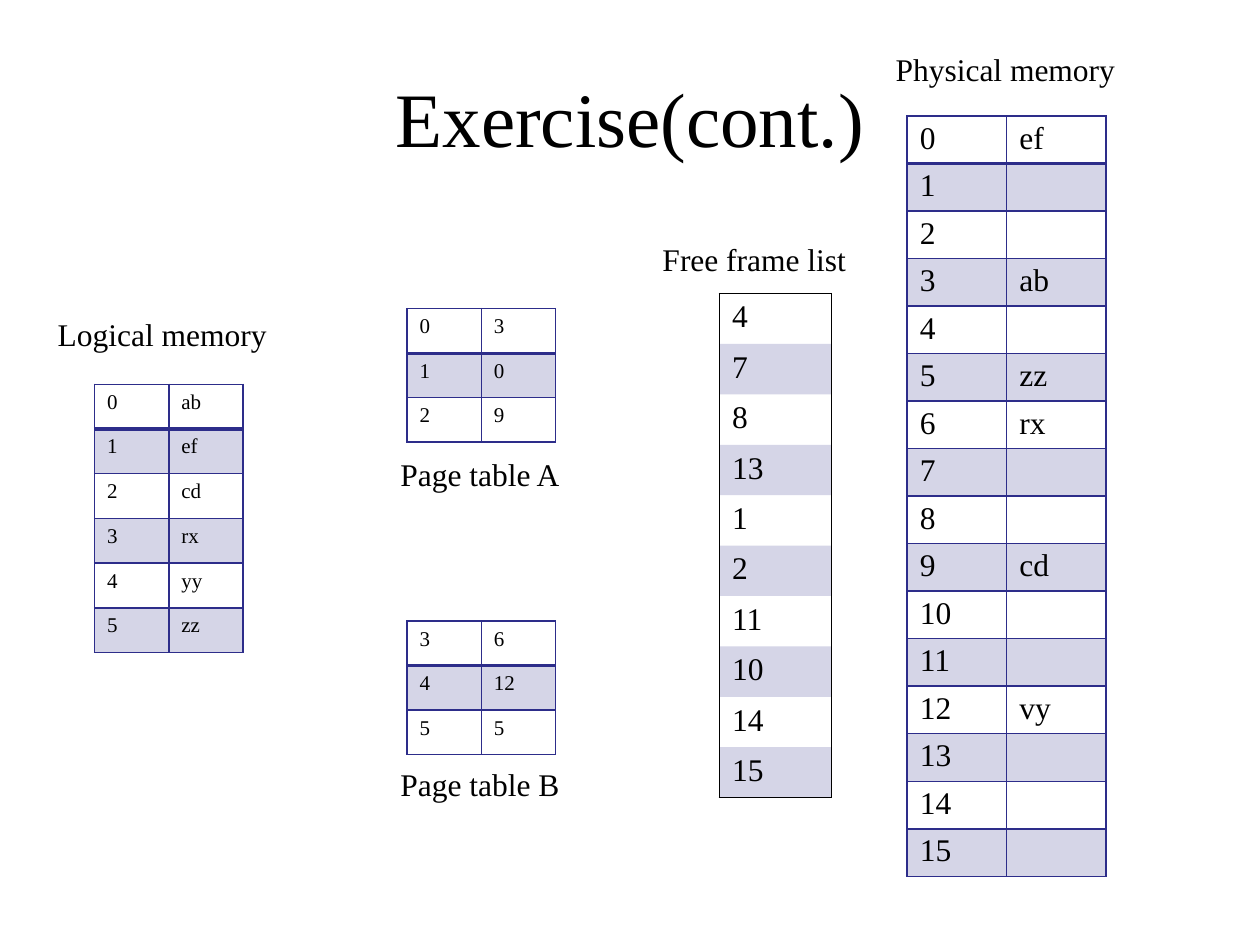
from dataclasses import dataclass

from lxml import etree
from pptx import Presentation
from pptx import util as u
from pptx.dml.color import RGBColor
from pptx.enum import text
from pptx.oxml.ns import qn

EMU_PER_PX = 9144  # 100 px to the inch
FONT = "Times New Roman"
BLACK, NAVY = "000000", "2D2D8A"
NO_STYLE = "{2D5ABB26-0587-4C30-8999-92F81FD0307C}"


@dataclass
class Label:
    words: str
    left: int
    top: int
    width: int


@dataclass
class Grid:
    rows: list[tuple[str, ...]]
    left: int
    top: int
    width: int
    height: int
    size: int
    line: str = NAVY
    inner_lines: bool = True
    margin: int = 5


PHYSICAL = {0: "ef", 3: "ab", 5: "zz", 6: "rx", 9: "cd", 12: "vy"}
FREE_FRAMES = [4, 7, 8, 13, 1, 2, 11, 10, 14, 15]

GRIDS = [
    Grid(list(zip("012345", ["ab", "ef", "cd", "rx", "yy", "zz"])), 75, 305, 118, 213, 12),
    Grid([(str(n), PHYSICAL.get(n, "")) for n in range(16)], 720, 92, 158, 604, 18, margin=4),
    Grid([(str(n),) for n in FREE_FRAMES], 571, 233, 89, 400, 18, BLACK, False),
    Grid([("0", "3"), ("1", "0"), ("2", "9")], 323, 245, 118, 106, 12),
    Grid([("3", "6"), ("4", "12"), ("5", "5")], 323, 493, 118, 106, 12),
]
LABELS = [
    Label("Free frame list", 516, 186, 176),
    Label("Physical memory", 701, 35, 196),
    Label("Logical memory", 36, 245, 188),
    Label("Page table A", 308, 356, 148),
    Label("Page table B", 308, 602, 148),
]


def px(length: float) -> int:
    return round(length * EMU_PER_PX)


def colour(value: str) -> RGBColor:
    return RGBColor.from_string(value)


def write(para, words: str, size: int) -> None:
    para.font.size = u.Pt(size)
    para.font.name = FONT
    para.font.color.rgb = colour(BLACK)
    if words:
        span = para.add_run()
        span.text = words
        formats = {"size": u.Pt(size), "name": FONT}
        for name, value in formats.items():
            setattr(span.font, name, value)
        span.font.color.rgb = colour(BLACK)


def set_borders(cell, widths: dict[str, int], line: str) -> None:
    """Draw each side in points; a width of 0 leaves the side open."""
    props = cell._tc.get_or_add_tcPr()
    for side, points in widths.items():
        border = etree.SubElement(props, qn(f"a:ln{side}"), w=str(u.Pt(points)))
        if points:
            fill = etree.SubElement(border, qn("a:solidFill"))
            etree.SubElement(fill, qn("a:srgbClr"), val=line)
        else:
            etree.SubElement(border, qn("a:noFill"))


def set_band(cell, shaded: bool) -> None:
    if not shaded:
        cell.fill.background()
        return
    cell.fill.solid()
    cell.fill.fore_color.rgb = colour(NAVY)
    tint = cell._tc.tcPr.find(qn("a:solidFill")).find(qn("a:srgbClr"))
    etree.SubElement(tint, qn("a:alpha"), val="20000")


def add_grid(page, grid: Grid) -> None:
    row_count, column_count = len(grid.rows), len(grid.rows[0])
    frame = page.shapes.add_table(
        row_count, column_count, *map(px, (grid.left, grid.top, grid.width, grid.height)))
    table = frame.table
    table._tbl.tblPr.find(qn("a:tableStyleId")).text = NO_STYLE
    table.first_row = table.horz_banding = False
    for column in table.columns:
        column.width = px(grid.width / column_count)
    inner, header = (1, 2) if grid.inner_lines else (0, 0)
    for r, entries in enumerate(grid.rows):
        table.rows[r].height = px(grid.height / row_count)
        for c, words in enumerate(entries):
            cell = table.cell(r, c)
            cell.margin_top = cell.margin_bottom = px(grid.margin)
            write(cell.text_frame.paragraphs[0], words, grid.size)
            top = {0: 1, 1: header}.get(r, inner)
            bottom = {0: header, row_count - 1: 1}.get(r, inner)
            set_borders(cell, {"L": 1, "R": 1, "T": top, "B": bottom}, grid.line)
            set_band(cell, r % 2 == 1)


def add_label(page, label: Label) -> None:
    box = page.shapes.add_textbox(*map(px, (label.left, label.top, label.width, 40)))
    box.text_frame.word_wrap = False
    box.text_frame.auto_size = text.MSO_AUTO_SIZE.SHAPE_TO_FIT_TEXT
    write(box.text_frame.paragraphs[0], label.words, 18)


def add_title(page, words: str) -> None:
    title = page.shapes.title
    place = {"left": 50, "top": 30, "width": 900, "height": 125}
    for name, value in place.items():
        setattr(title, name, px(value))
    title.text_frame.vertical_anchor = text.MSO_ANCHOR.MIDDLE
    para = title.text_frame.paragraphs[0]
    para.alignment = text.PP_ALIGN.CENTER
    write(para, words, 44)


def main() -> None:
    deck = Presentation()
    deck.slide_width, deck.slide_height = px(1000), px(750)
    page = deck.slides.add_slide(deck.slide_layouts[5])
    add_title(page, "Exercise(cont.)")
    for grid in GRIDS:
        add_grid(page, grid)
    for label in LABELS:
        add_label(page, label)
    deck.save("out.pptx")


if __name__ == "__main__":
    main()
